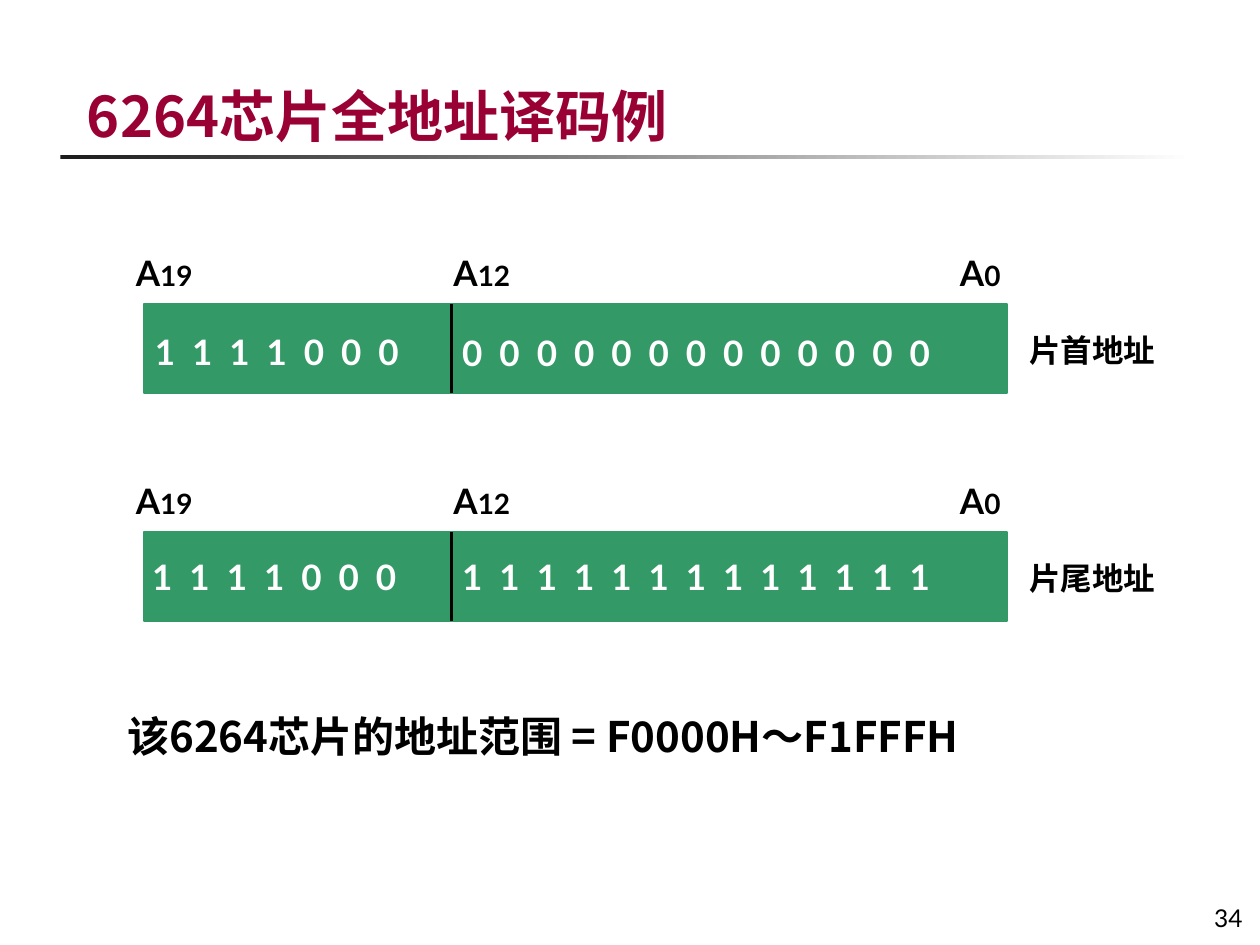
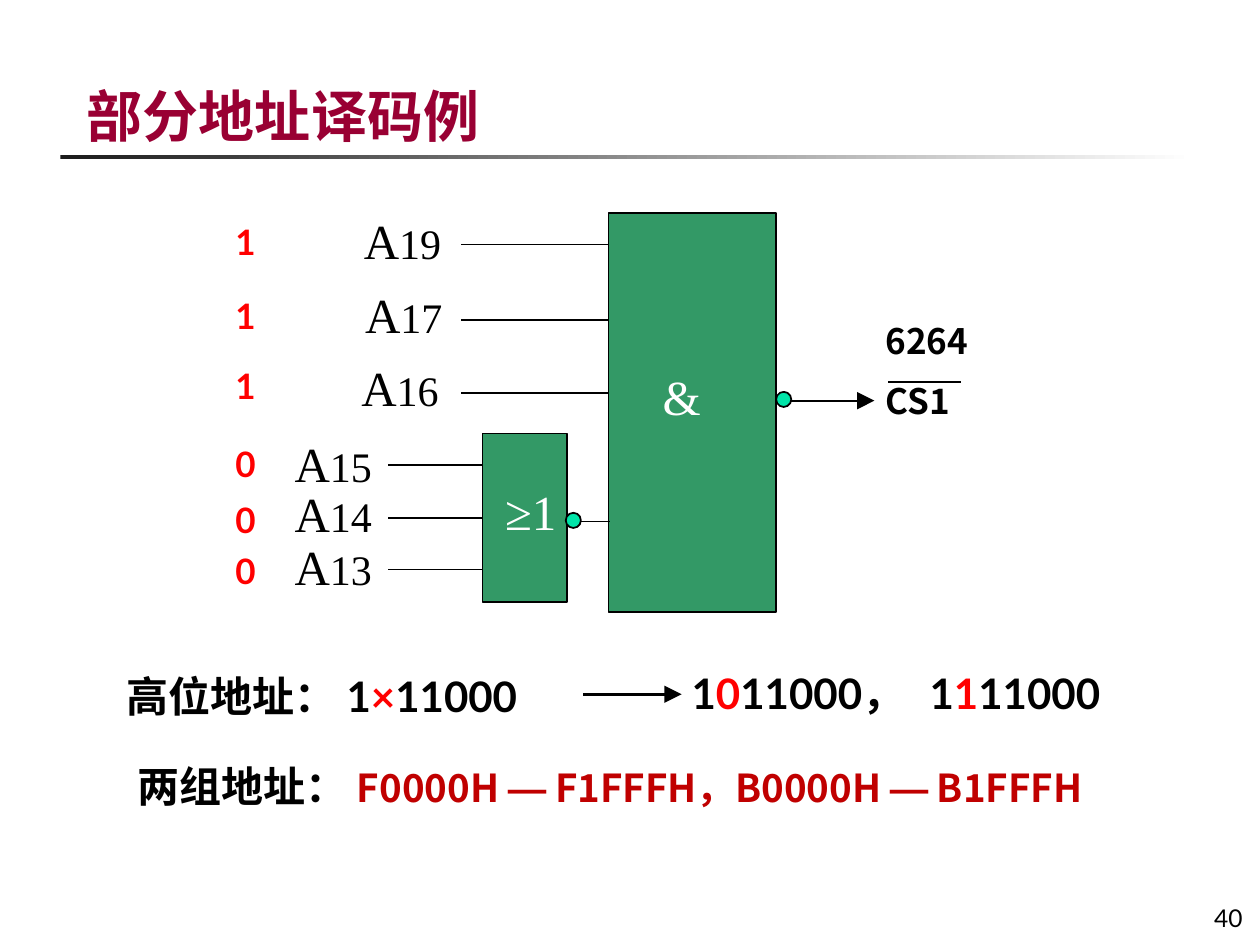
from pptx import Presentation
from pptx.dml.color import RGBColor
from pptx.enum.shapes import MSO_CONNECTOR, MSO_SHAPE
from pptx.enum.text import MSO_ANCHOR, MSO_AUTO_SIZE, PP_ALIGN
from pptx.oxml.ns import qn
from pptx.util import Inches, Pt
from lxml.etree import SubElement

BLACK, WHITE, RED = "000000", "FFFFFF", "FF0000"
GREEN, MINT = "339966", "00E4A8"
TITLE_RED, ADDRESS_RED = "990033", "C00000"
CJK, LATO, TIMES, ARIAL = "Noto Sans CJK SC", "Lato", "Times New Roman", "Arial"


def color(value):
    return RGBColor.from_string(value)


def inches(*lengths):
    return [Inches(length) for length in lengths]


def write(paragraph, text, font=CJK, size=24, fill=BLACK, bold=True):
    run = paragraph.add_run()
    run.text = text
    run.font.name = font
    run.font.size = Pt(size)
    run.font.bold = bold
    run.font.color.rgb = color(fill)
    east_asian = SubElement(run.font._element, qn("a:ea"))
    east_asian.set("typeface", CJK if font == LATO else font)


class Deck:
    def __init__(self):
        self.presentation = Presentation()
        self.presentation.slide_width = Inches(10)
        self.presentation.slide_height = Inches(7.5)
        self.slide = None

    def start(self, title, title_box, number):
        layout = self.presentation.slide_layouts[1]
        self.slide = self.presentation.slides.add_slide(layout)
        rule = self.shape(MSO_SHAPE.RECTANGLE, (0.48, 1.23, 9, 0.03), BLACK, None)
        rule.fill.gradient()
        rule.fill.gradient_angle = 0
        for stop, shade in zip(rule.fill.gradient_stops, ("1C1C1C", WHITE)):
            stop.color.rgb = color(shade)
        self.text((9.27, 6.95, 0.69, 0.5), [(number, {})], anchor=MSO_ANCHOR.BOTTOM,
                  align=PP_ALIGN.RIGHT, font=LATO, size=14, bold=False)
        heading = self.place(self.slide.shapes.title, title_box, MSO_ANCHOR.BOTTOM)
        heading.alignment = PP_ALIGN.LEFT
        write(heading, title, size=32, fill=TITLE_RED)

    def place(self, holder, box, anchor=MSO_ANCHOR.TOP):
        holder.left, holder.top, holder.width, holder.height = inches(*box)
        frame = holder.text_frame
        frame.word_wrap = True
        frame.auto_size = MSO_AUTO_SIZE.NONE
        frame.vertical_anchor = anchor
        return frame.paragraphs[0]

    def body(self, box, runs):
        line = self.place(self.slide.placeholders[1], box)
        properties = line._p.get_or_add_pPr()
        properties.set("marL", str(Inches(0.5)))
        properties.set("indent", str(Inches(-0.5)))
        SubElement(properties, qn("a:buNone"))
        line.alignment = PP_ALIGN.JUSTIFY
        line.line_spacing = 1.07
        line.space_before = Pt(0)
        for text, style in runs:
            write(line, text, **style)

    def text(self, box, runs, anchor=MSO_ANCHOR.TOP, align=PP_ALIGN.LEFT,
             spacing=None, tabs=(), **style):
        frame_box = self.slide.shapes.add_textbox(*inches(*box))
        line = self.place(frame_box, box, anchor)
        if tabs:
            stops = SubElement(line._p.get_or_add_pPr(), qn("a:tabLst"))
            for position in tabs:
                SubElement(stops, qn("a:tab"), pos=str(Inches(position)), algn="l")
        line.alignment = align
        line.line_spacing = spacing
        for text, changes in runs:
            write(line, text, **{**style, **changes})
        return frame_box.text_frame

    def shape(self, kind, box, fill, outline=BLACK):
        shape = self.slide.shapes.add_shape(kind, *inches(*box))
        shape.shadow.inherit = False
        shape.fill.solid()
        shape.fill.fore_color.rgb = color(fill)
        if outline:
            shape.line.color.rgb = color(outline)
            shape.line.width = Pt(1)
        else:
            shape.line.fill.background()
        return shape

    def line(self, start, end, width=1, arrow=False):
        line = self.slide.shapes.add_connector(
            MSO_CONNECTOR.STRAIGHT, *inches(*start, *end))
        line.line.color.rgb = color(BLACK)
        line.line.width = Pt(width)
        if arrow:
            SubElement(line.line._get_or_add_ln(), qn("a:tailEnd"),
                       type="triangle", w="lg", len="lg")
        SubElement(line._element.spPr, qn("a:effectLst"))
        return line

    def pin(self, left, top, number, size, number_size, width, height, **style):
        self.text((left, top, width, height),
                  [("A", {"size": size}), (number, {"size": number_size})], **style)


def address_bar(deck, top, high_bits, high_at, low_bits, low_at, caption):
    deck.shape(MSO_SHAPE.RECTANGLE, (1.14, top, 6.85, 0.71), GREEN, GREEN)
    deck.line((3.58, top), (3.58, top + 0.71), width=1.75)
    for number, left in (("19", 0.98), ("12", 3.5), ("0", 7.52)):
        deck.pin(left, top - 0.46, number, 20, 16, 0.79, 0.43, font=LATO)
    for bits, (left, bits_top), width in ((high_bits, high_at, 2.52), (low_bits, low_at, 4.49)):
        pitch = 3.55 / 12
        deck.text((left, bits_top, width, 0.43), [("\t".join(bits), {})],
                  tabs=[pitch * i for i in range(1, len(bits))],
                  font=LATO, size=20, fill=WHITE)
    deck.text((8.07, top + 0.17, 1.26, 0.4), [(caption, {})], size=18)


def full_decoding(deck):
    deck.start("6264芯片全地址译码例", (0.59, 0.31, 7.99, 0.92), "34")
    address_bar(deck, 2.41, "1111000", (1.13, 2.57), "0" * 13, (3.57, 2.58), "片首地址")
    address_bar(deck, 4.22, "1111000", (1.11, 4.36), "1" * 13, (3.57, 4.36), "片尾地址")
    deck.body((0.91, 5.56, 7.72, 0.71), [("该6264芯片的地址范围 = F0000H～F1FFFH", {})])


def partial_decoding(deck):
    deck.start("部分地址译码例", (0.59, 0.23, 7.99, 1), "40")
    red = {"size": 22, "fill": ADDRESS_RED}
    dash = {**red, "font": ARIAL}
    deck.body((0.99, 5.96, 8.5, 0.78), [
        ("两组地址： ", {}), ("F0000H ", red), ("—", dash),
        (" F1FFFH，B0000H ", red), ("—", dash), (" B1FFFH", red)])

    and_gate = (4.83, 1.69, 1.33, 3.17)
    or_gate = (3.83, 3.44, 0.67, 1.34)
    deck.shape(MSO_SHAPE.RECTANGLE, and_gate, GREEN)
    or_shape = deck.shape(MSO_SHAPE.RECTANGLE, or_gate, GREEN)
    inputs = (
        ("19", "1", 1.94, 2.79, 1.62, 1.70),
        ("17", "1", 2.54, 2.80, 2.21, 2.29),
        ("16", "1", 3.12, 2.77, 2.79, 2.84),
        ("15", "0", 3.69, 2.24, 3.39, 3.46),
        ("14", "0", 4.11, 2.24, 3.79, 3.91),
        ("13", "0", 4.52, 2.24, 4.21, 4.31),
    )
    for number, bit, wire_y, pin_left, pin_top, bit_top in inputs:
        wire_start, gate_left = (3.66, and_gate[0]) if bit == "1" else (3.08, or_gate[0])
        wire = deck.line((wire_start, wire_y), (gate_left, wire_y))
        if number == "14":
            wire.end_connect(or_shape, 1)
        deck.pin(pin_left, pin_top, number, 28, 24, 1, 0.57, font=TIMES, bold=False)
        deck.text((1.77, bit_top, 0.39, 0.43), [(bit, {})], font=LATO, size=20, fill=RED)

    for symbol, left, top in (("&", 5.16, 2.86), ("≥1", 3.91, 3.77)):
        deck.text((left, top, 0.75, 0.57), [(symbol, {})],
                  font=TIMES, size=28, fill=WHITE, bold=False)
    deck.line((4.54, 4.14), (4.84, 4.14))
    deck.line((6.27, 3.18), (6.94, 3.18), arrow=True)
    for left, top in ((4.49, 4.07), (6.16, 3.11)):
        deck.shape(MSO_SHAPE.OVAL, (left, top, 0.12, 0.12), MINT)

    chip = deck.text((6.93, 2.49, 1, 0.94), [("6264", {})], size=20)
    chip_select = chip.add_paragraph()
    chip_select.space_before = Pt(10)
    write(chip_select, "CS1", size=20)
    deck.line((7.05, 3.03), (7.63, 3.03))

    lato, marked = {"font": LATO}, {"font": LATO, "fill": RED}
    deck.text((0.91, 5.25, 3.7, 0.63), [
        ("高位地址： ", {}), ("1", lato), ("×", marked), ("11000", lato)], spacing=1.05)
    deck.line((4.63, 5.51), (5.41, 5.51), width=1.75, arrow=True)
    for left, width, free_bit, rest in ((5.39, 2.05, "0", "11000，"), (7.28, 2.44, "1", "11000")):
        deck.text((left, 5.25, width, 0.5), [("1", lato), (free_bit, marked), (rest, lato)])


def main():
    deck = Deck()
    full_decoding(deck)
    partial_decoding(deck)
    deck.presentation.save("out.pptx")


if __name__ == "__main__":
    main()
